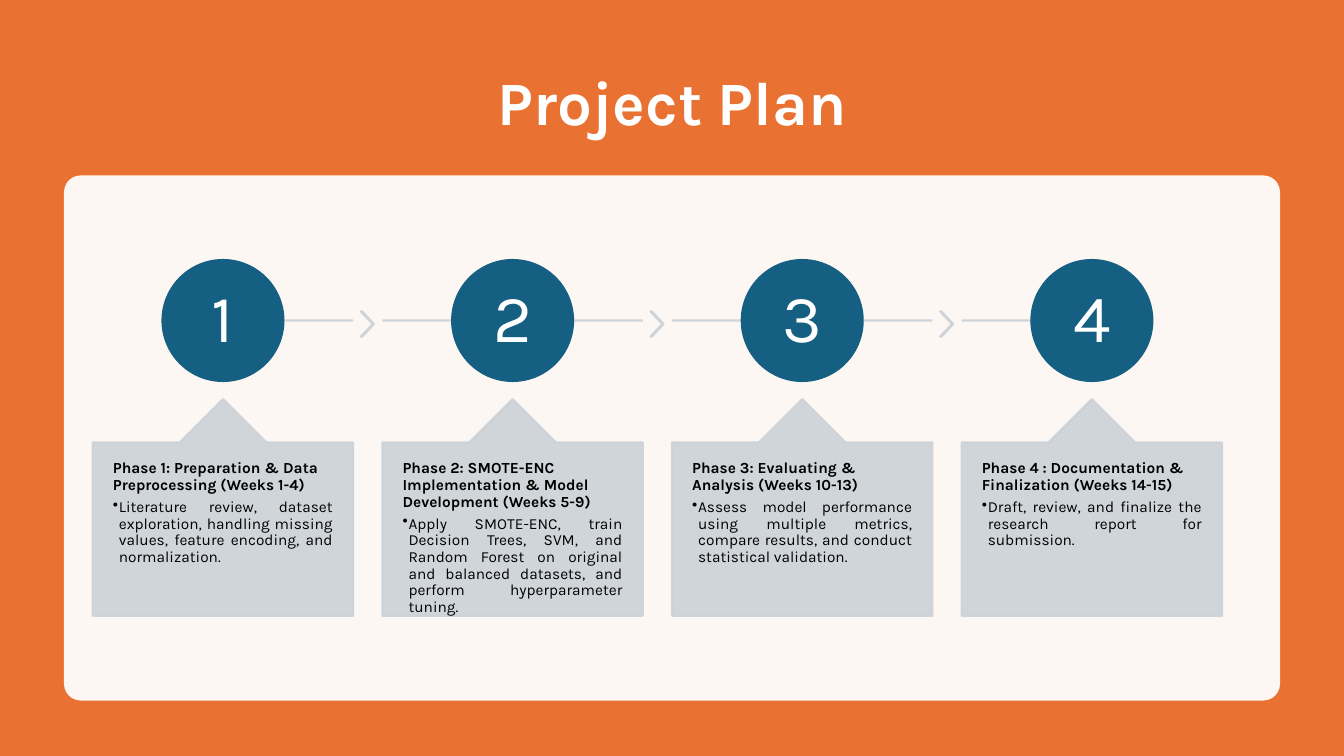
from lxml.etree import SubElement
from pptx import Presentation
from pptx.dml.color import RGBColor
from pptx.enum.shapes import MSO_CONNECTOR as LINE, MSO_SHAPE as SHAPE
from pptx.enum.text import MSO_ANCHOR as ANCHOR, PP_ALIGN as ALIGN
from pptx.oxml.ns import qn
from pptx.util import Emu, Inches, Pt

ORANGE = RGBColor(0xE9, 0x71, 0x32)
BLUE = RGBColor(0x15, 0x60, 0x82)
GREY = RGBColor(0xCC, 0xD2, 0xD8)
WHITE = RGBColor(0xFF, 0xFF, 0xFF)
BLACK = RGBColor(0, 0, 0)

PHASES = [
    ("Phase 1: Preparation & Data Preprocessing (Weeks 1-4)",
     "Literature review, dataset exploration, handling missing values, "
     "feature encoding, and normalization."),
    ("Phase 2: SMOTE-ENC Implementation & Model Development (Weeks 5-9)",
     "Apply SMOTE-ENC, train Decision Trees, SVM, and Random Forest on original "
     "and balanced datasets, and perform hyperparameter tuning."),
    ("Phase 3: Evaluating & Analysis (Weeks 10-13)",
     "Assess model performance using multiple metrics, compare results, "
     "and conduct statistical validation."),
    ("Phase 4 : Documentation & Finalization (Weeks 14-15)",
     "Draft, review, and finalize the research report for submission."),
]

# Column grid, in percent of the slide width
LEFT, PITCH, CARD = 6.9, 21.55, 19.38


class Deck:
    """Holds the style and the current slide; lengths are percent of its size."""
    font = "Karla"
    line_width = Pt(1.5)

    def __init__(self):
        self.prs = Presentation()
        self.prs.slide_width, self.prs.slide_height = Inches(13.33), Inches(7.5)
        self.slide = self.prs.slides.add_slide(self.prs.slide_layouts[6])

    def box(self, x, y, w, h):
        sw, sh = self.prs.slide_width, self.prs.slide_height
        return [Emu(round(share * size / 100))
                for share, size in ((x, sw), (y, sh), (w, sw), (h, sh))]

    def paint(self, fill, color, opacity):
        fill.solid()
        fill.fore_color.rgb = color
        if opacity < 100:
            clr = fill._xPr.find(".//" + qn("a:srgbClr"))
            SubElement(clr, qn("a:alpha"), val=str(opacity * 1000))

    def shape(self, kind, at, color, opacity=100, outline=True, adj=()):
        s = self.slide.shapes.add_shape(kind, *self.box(*at))
        s.shadow.inherit = False
        for i, value in enumerate(adj):
            s.adjustments[i] = value
        self.paint(s.fill, color, opacity)
        if outline:
            self.paint(s.line.fill, color, opacity)
            s.line.width = self.line_width
        else:
            s.line.fill.background()

    def rule(self, x1, x2, y, color, opacity):
        x, top, w, _ = self.box(x1, y, x2 - x1, 0)
        c = self.slide.shapes.add_connector(LINE.STRAIGHT, x, top, x + w, top)
        self.paint(c.line.fill, color, opacity)
        c.line.width = self.line_width
        SubElement(c._element.spPr, qn("a:effectLst"))

    def text(self, at, lines, size, color, bold=False, align=ALIGN.LEFT,
             anchor=ANCHOR.TOP, inset=(0.1, 0.05), after=0):
        tf = self.slide.shapes.add_textbox(*self.box(*at)).text_frame
        tf.word_wrap, tf.vertical_anchor = True, anchor
        tf.margin_left = tf.margin_right = Inches(inset[0])
        tf.margin_top = tf.margin_bottom = Inches(inset[1])
        tf.text = "\n".join(lines)
        for p in tf.paragraphs:
            p.alignment, p.line_spacing, p.space_after = align, 0.9, Pt(after)
            f = p.runs[0].font
            f.name, f.size, f.bold, f.color.rgb = self.font, Pt(size), bold, color
        return tf

    def bullet(self, p, indent, after):
        p.level, p.alignment, p.space_after = 1, ALIGN.JUSTIFY, Pt(after)
        p.runs[0].font.bold = False
        pPr = p._p.get_or_add_pPr()
        pPr.set("marL", str(Inches(indent)))
        pPr.set("indent", str(-Inches(indent)))
        SubElement(pPr, qn("a:buChar"), char="•")


def main():
    d = Deck()

    # Background, title and panel
    d.shape(SHAPE.RECTANGLE, (0, 0, 100, 100), ORANGE, outline=False)
    d.text((LEFT, 6.67, 86.25, 14.67), ["Project Plan"], 44, WHITE, bold=True,
           align=ALIGN.CENTER, anchor=ANCHOR.MIDDLE)
    d.shape(SHAPE.ROUNDED_RECTANGLE, (4.76, 23.2, 90.48, 69.47), WHITE, 95,
            outline=False, adj=[0.032])

    last = len(PHASES) - 1
    for i, (heading, detail) in enumerate(PHASES):
        x = LEFT + i * PITCH
        mid, right = x + CARD / 2, x + CARD

        # Timeline: starts at the first circle, ends at the last
        d.rule(mid if i == 0 else x, mid if i == last else right, 42.4, GREY, 90)
        if i < last:
            d.shape(SHAPE.CHEVRON, (x + 19.95, 41.2, 0.98, 3.33), GREY, 90,
                    adj=[0.9])

        # Numbered circle
        d.shape(SHAPE.OVAL, (mid - 4.5, 34.4, 9, 16), BLUE)
        d.text((mid - 3.2, 36.8, 6.4, 11.33), [str(i + 1)], 48, WHITE,
               align=ALIGN.CENTER, anchor=ANCHOR.MIDDLE, inset=(0.05, 0.05))

        # Phase card
        d.shape(SHAPE.UP_ARROW_CALLOUT, (x, 52.8, CARD, 28.67), GREY, 90,
                adj=[0.5, 0.2, 0.2, 1])
        tf = d.text((x, 58.53, CARD, 22.93), [heading, detail], 11, BLACK,
                    bold=True, inset=(0.2, 0.18), after=3.85)
        d.bullet(tf.paragraphs[1], 0.06, 1.65)

    d.prs.save("out.pptx")


if __name__ == "__main__":
    main()
